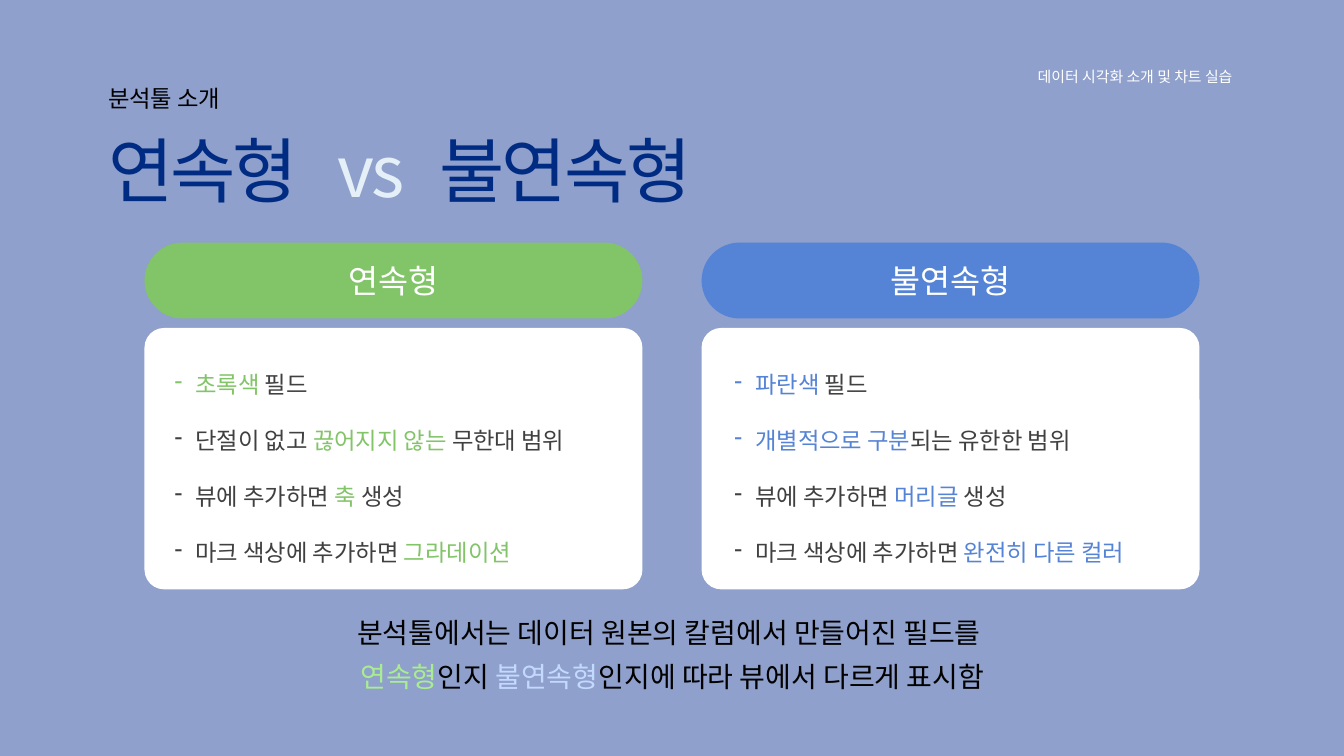
from lxml.etree import SubElement
from pptx import Presentation
from pptx.dml.color import RGBColor
from pptx.enum.shapes import MSO_SHAPE
from pptx.enum.text import MSO_ANCHOR, MSO_AUTO_SIZE, PP_ALIGN
from pptx.oxml.ns import qn
from pptx.util import Inches, Pt

FONT = "Noto Sans CJK KR"
BACKGROUND = RGBColor(0x8E, 0xA0, 0xCB)
NAVY = RGBColor(0x00, 0x2B, 0x83)
PALE = RGBColor(0xE4, 0xEF, 0xF7)
BLACK = RGBColor(0x00, 0x00, 0x00)
WHITE = RGBColor(0xFF, 0xFF, 0xFF)
GRAY = RGBColor(0x40, 0x40, 0x40)
GREEN = RGBColor(0x82, 0xC4, 0x68)
BLUE = RGBColor(0x55, 0x83, 0xD5)
LIGHT_GREEN = RGBColor(0xAA, 0xEC, 0x90)
LIGHT_BLUE = RGBColor(0xC4, 0xD9, 0xFE)

TITLE = [[("연속형", NAVY, -3), (" ", NAVY, 25), ("vs", PALE, -3),
          (" ", PALE, 20), ("불연속형", NAVY, -3)]]
SECTION = [[("분석툴 소개", BLACK)]]
COURSE = [[("데이터 시각화 소개 및 차트 실습 ", WHITE)]]
SUMMARY = [
    [("분석툴에서는 데이터 원본의 칼럼에서 만들어진 필드를 ", BLACK)],
    [("연속형", LIGHT_GREEN), ("인지 ", BLACK), ("불연속형", LIGHT_BLUE),
     ("인지에 따라 뷰에서 다르게 표시함", BLACK)],
]
CARDS = [
    ("연속형", GREEN, 0.35, [
        [("초록색 ", GREEN), ("필드", GRAY)],
        [("단절이 없고 ", GRAY), ("끊어지지 않는 ", GREEN), ("무한대 범위", GRAY)],
        [("뷰에 추가하면 ", GRAY), ("축", GREEN), (" 생성", GRAY)],
        [("마크 색상에 추가하면 ", GRAY), ("그라데이션", GREEN)],
    ]),
    ("불연속형", BLUE, 0.39, [
        [("파란색", BLUE), (" 필드", GRAY)],
        [("개별적으로 구분", BLUE), ("되는 유한한 범위", GRAY)],
        [("뷰에 추가하면 ", GRAY), ("머리글", BLUE), (" 생성", GRAY)],
        [("마크 색상에 추가하면 ", GRAY), ("완전히 다른 컬러", BLUE)],
    ]),
]

MARGIN = 1.51
CARD_LEFT, CARD_WIDTH, CARD_PITCH = 2.15, 7.41, 8.29
HEADER_TOP, HEADER_HEIGHT = 3.61, 1.13
BODY_TOP, BODY_HEIGHT = 4.88, 3.89
LIST_TOP, LIST_WIDTH, LIST_HEIGHT = 5.04, 6.7, 3.35
BULLET_INDENT = Inches(0.31)


def add_bullet(paragraph):
    properties = paragraph._p.get_or_add_pPr()
    properties.set("marL", str(BULLET_INDENT))
    properties.set("indent", str(-BULLET_INDENT))
    SubElement(properties, qn("a:buFontTx"))
    SubElement(properties, qn("a:buChar"), char="-")


def write(frame, lines, size, align=PP_ALIGN.LEFT, spacing=None, bullets=False):
    frame.word_wrap = True
    for index, line in enumerate(lines):
        paragraph = frame.add_paragraph() if index else frame.paragraphs[0]
        if bullets:
            add_bullet(paragraph)
        paragraph.alignment = align
        paragraph.line_spacing = spacing
        for text, color, *tracking in line:
            run = paragraph.add_run()
            run.text = text
            run.font.size = Pt(size)
            run.font.name = FONT
            run.font.color.rgb = color
            properties = run.font._element
            SubElement(properties, qn("a:ea"), typeface=FONT)
            if tracking:
                properties.set("spc", str(tracking[0] * 100))


def add_text(slide, box, lines, size, **options):
    frame = slide.shapes.add_textbox(*map(Inches, box)).text_frame
    write(frame, lines, size, **options)
    frame.auto_size = MSO_AUTO_SIZE.SHAPE_TO_FIT_TEXT


def add_panel(slide, box, rounding, color):
    shape = slide.shapes.add_shape(MSO_SHAPE.ROUNDED_RECTANGLE, *map(Inches, box))
    shape.adjustments[0] = rounding
    shape.shadow.inherit = False
    shape.fill.solid()
    shape.fill.fore_color.rgb = color
    shape.line.fill.background()
    return shape


def add_card(slide, left, heading, color, list_offset, points):
    header = add_panel(slide, (left, HEADER_TOP, CARD_WIDTH, HEADER_HEIGHT), 0.5, color)
    header.text_frame.vertical_anchor = MSO_ANCHOR.MIDDLE
    write(header.text_frame, [[(heading, WHITE)]], 35, align=PP_ALIGN.CENTER)
    add_panel(slide, (left, BODY_TOP, CARD_WIDTH, BODY_HEIGHT), 0.075, WHITE)
    add_text(slide, (left + list_offset, LIST_TOP, LIST_WIDTH, LIST_HEIGHT),
             points, 25, spacing=2.0, bullets=True)


def main():
    presentation = Presentation()
    presentation.slide_width, presentation.slide_height = Inches(20), Inches(11.25)
    slide = presentation.slides.add_slide(presentation.slide_layouts[6])
    slide.background.fill.solid()
    slide.background.fill.fore_color.rgb = BACKGROUND

    add_text(slide, (MARGIN, 1.84, 9.57, 1.38), TITLE, 76)
    add_text(slide, (MARGIN, 1.21, 8.66, 0.52), SECTION, 25)
    add_text(slide, (9.83, 0.96, 8.66, 0.37), COURSE, 16, align=PP_ALIGN.RIGHT)
    add_text(slide, (4.06, 8.96, 11.89, 1.37), SUMMARY, 30,
             align=PP_ALIGN.CENTER, spacing=1.3)
    for column, card in enumerate(CARDS):
        add_card(slide, CARD_LEFT + column * CARD_PITCH, *card)

    presentation.save("out.pptx")


if __name__ == "__main__":
    main()
